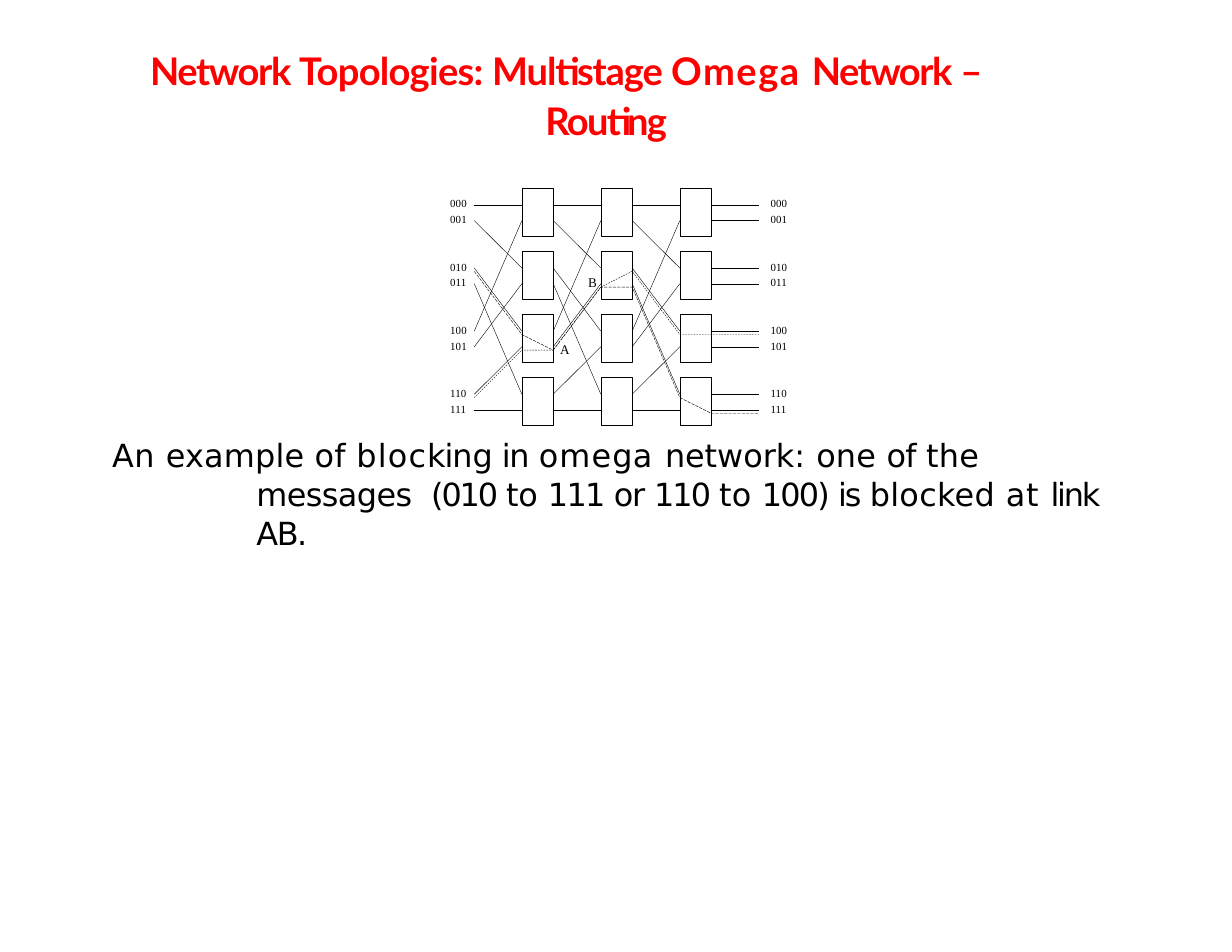
from dataclasses import dataclass
from lxml import etree
from pptx import Presentation
from pptx.dml.color import RGBColor
from pptx.enum import dml, text
from pptx.oxml.ns import qn
from pptx.util import Inches, Pt


@dataclass(frozen=True)
class Theme:
    accent: RGBColor = RGBColor(0xFF, 0x00, 0x00)
    ink: RGBColor = RGBColor(0x00, 0x00, 0x00)
    title_font: str = "Lato"
    body_font: str = "DejaVu Sans"
    label_font: str = "Times New Roman"
    title_size: float = 24.5
    body_size: float = 20.5
    link_size: float = 8.5
    port_size: float = 7
    line_width: float = 0.25


class SlideBuilder:
    def __init__(self, slide, theme):
        self.slide = slide
        self.theme = theme

    def frame(self, shape, top_inset, right_inset=0):
        frame = shape.text_frame
        frame.margin_left = frame.margin_bottom = 0
        frame.margin_right = Inches(right_inset)
        frame.margin_top = Inches(top_inset)
        frame.word_wrap = True
        frame.auto_size = text.MSO_AUTO_SIZE.NONE
        frame.vertical_anchor = text.MSO_ANCHOR.TOP
        return frame

    def paragraph(self, paragraph, runs, font, size, color, left, hanging=0, bold=False):
        properties = paragraph._p.get_or_add_pPr()
        properties.set("marL", str(Inches(left)))
        properties.set("indent", str(Inches(hanging)))
        etree.SubElement(properties, qn("a:buNone"))
        paragraph.alignment = text.PP_ALIGN.LEFT
        paragraph.space_before = Pt(0)
        paragraph.font.name = font
        paragraph.font.size = Pt(size)
        paragraph.font.bold = bold
        paragraph.font.color.rgb = color
        for words, tracking in runs:
            run = paragraph.add_run()
            run.text = words
            run._r.get_or_add_rPr().set("spc", str(round(tracking * 100)))

    def placeholder(self, index, box, runs, line_spacing, right_inset=0, **style):
        shape = self.slide.placeholders[index]
        shape.left, shape.top, shape.width, shape.height = map(Inches, box)
        paragraph = self.frame(shape, 0.02, right_inset).paragraphs[0]
        self.paragraph(paragraph, runs, **style)
        paragraph.line_spacing = line_spacing

    def label(self, box, lines, size, top_inset):
        frame = self.frame(self.slide.shapes.add_textbox(*map(Inches, box)), top_inset)
        for number, line in enumerate(lines):
            paragraph = frame.add_paragraph() if number else frame.paragraphs[0]
            self.paragraph(paragraph, [(line, 0.1)], self.theme.label_font, size,
                           self.theme.ink, 0.01)
            if number:
                paragraph.space_before = Pt(1.8)

    def drawing(self, group, outlines, dash=None):
        builder = None
        for points in outlines:
            start, *rest = [(Inches(x), Inches(y)) for x, y in points]
            if builder is None:
                builder = group.shapes.build_freeform(*start)
            else:
                builder.move_to(*start)
            builder.add_line_segments(rest, close=start == rest[-1])
        shape = builder.convert_to_shape()
        shape.shadow.inherit = False
        shape.fill.background()
        shape.line.color.rgb = self.theme.ink
        shape.line.width = Pt(self.theme.line_width)
        if dash:
            shape.line.dash_style = dash


TITLE = [("Network ", -0.9), ("Topologies: ", -0.45), ("Multistage ", -0.7),
         ("Omega ", 1), ("Network ", -0.95), ("– ", -3.2), ("Routing", -1.1)]
CAPTION = [("A", 0.3), ("n ", 0.4), ("example of ", 0.1), ("blo", 0.8), ("c", 0.6),
           ("kin", -0.7), ("g ", -0.8), ("i", -0.7), ("n ", -0.7), ("ome", 0.7),
           ("g", 0.2), ("a ", 0.8), ("net", -0.1), ("w", -0.6), ("o", -0.8),
           ("r", -0.2), ("k", -3.1), (": ", 0.3), ("one ", 0.1), ("of ", -0.4),
           ("the ", 0.2), ("messages", -0.4), (" ", 5.7), ("(010 ", -1.4),
           ("to ", -0.1), ("111 ", -1.1), ("or ", -0.8), ("110 ", -1.3),
           ("to ", 0.1), ("100) ", -1.2), ("is ", -1.25), ("blocked ", 0.2),
           ("at ", 0.5), ("link ", -1.4), ("AB.", -1)]

STAGES = 3
PORTS = 2 ** STAGES
ROWS = PORTS // 2
SWITCH_LEFT, SWITCH_TOP = 4.66, 1.68
SWITCH_WIDTH, SWITCH_HEIGHT = 0.28, 0.43
STAGE_PITCH, ROW_PITCH = 1.41 / 2, 1.69 / 3
WIRE_LENGTH = STAGE_PITCH - SWITCH_WIDTH
EXIT_X = SWITCH_LEFT + (STAGES - 1) * STAGE_PITCH + SWITCH_WIDTH
ROUTE_OFFSET = 0.03


def stage_x(stage):
    return SWITCH_LEFT + stage * STAGE_PITCH


def port_y(port):
    return SWITCH_TOP + 0.15 + port // 2 * ROW_PITCH + port % 2 * 0.14


def shuffle(port):
    return port * 2 % PORTS + port // ROWS


def switch(stage, row):
    left, top = stage_x(stage), SWITCH_TOP + row * ROW_PITCH
    right, bottom = left + SWITCH_WIDTH, top + SWITCH_HEIGHT
    return [(left, top), (left, bottom), (right, bottom), (right, top), (left, top)]


def network():
    outlines = []
    for stage in range(STAGES):
        left = stage_x(stage)
        outlines += [switch(stage, row) for row in range(ROWS)]
        outlines += [[(left - WIRE_LENGTH, port_y(port)), (left, port_y(shuffle(port)))]
                     for port in range(PORTS)]
    return outlines + [[(EXIT_X, port_y(port)), (EXIT_X + WIRE_LENGTH, port_y(port))]
                       for port in range(PORTS)]


def route(source, target):
    points, port = [], source
    for stage in range(STAGES):
        left = stage_x(stage)
        points.append((left - WIRE_LENGTH, port_y(port) + ROUTE_OFFSET))
        port = shuffle(port)
        points.append((left, port_y(port) + ROUTE_OFFSET))
        port = port // 2 * 2 + (target >> (STAGES - 1 - stage)) % 2
    return points + [(x, port_y(port) + ROUTE_OFFSET) for x in (EXIT_X, EXIT_X + WIRE_LENGTH)]


def main():
    deck = Presentation()
    deck.slide_width, deck.slide_height = Inches(11), Inches(8.5)
    theme = Theme()
    page = SlideBuilder(deck.slides.add_slide(deck.slide_layouts[1]), theme)

    page.placeholder(0, (1.04, 0.37, 8.91, 0.91), TITLE, 1.09, right_inset=0.5,
                     font=theme.title_font, size=theme.title_size, color=theme.accent,
                     left=3.83, hanging=-3.53, bold=True)
    page.placeholder(1, (0.99, 3.87, 9.03, 0.72), CAPTION, 1.01, font=theme.body_font,
                     size=theme.body_size, color=theme.ink, left=1.3, hanging=-1.29)

    omega = page.slide.shapes.add_group_shape()
    page.drawing(omega, network())
    page.drawing(omega, [route(0b010, 0b111)], dml.MSO_LINE.LONG_DASH)
    page.drawing(omega, [route(0b110, 0b100)], dml.MSO_LINE.DASH)

    for row in range(ROWS):
        addresses = [f"{port:03b}" for port in (2 * row, 2 * row + 1)]
        for left in (4.01, 6.87):
            page.label((left, 1.73 + row * ROW_PITCH, 0.18, 0.31), addresses,
                       theme.port_size, 0.03)
    for name, left, top in (("A", 4.99, 3.03), ("B", 5.24, 2.43)):
        page.label((left, top, 0.11, 0.17), [name], theme.link_size, 0.02)

    deck.save("out.pptx")


if __name__ == "__main__":
    main()
